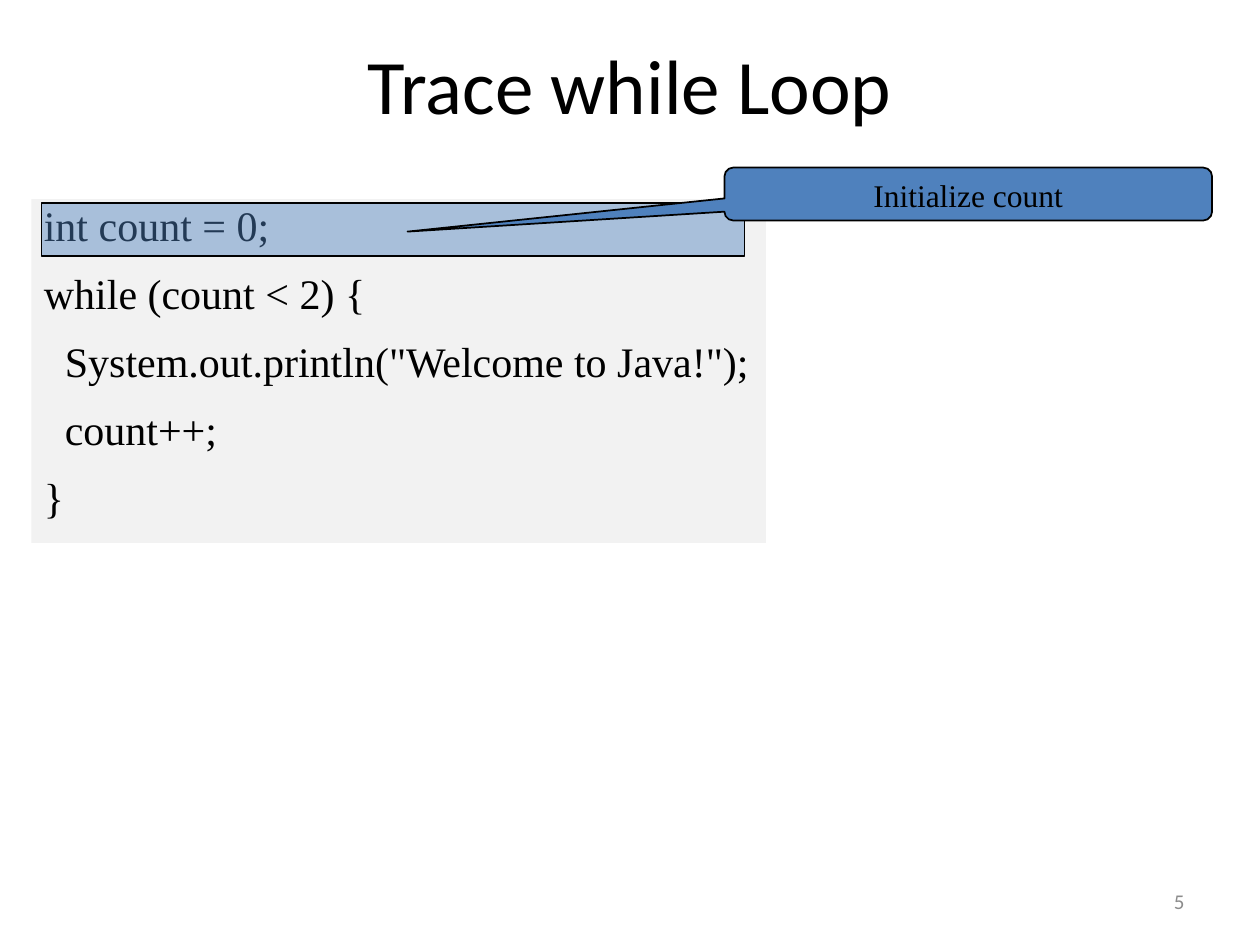
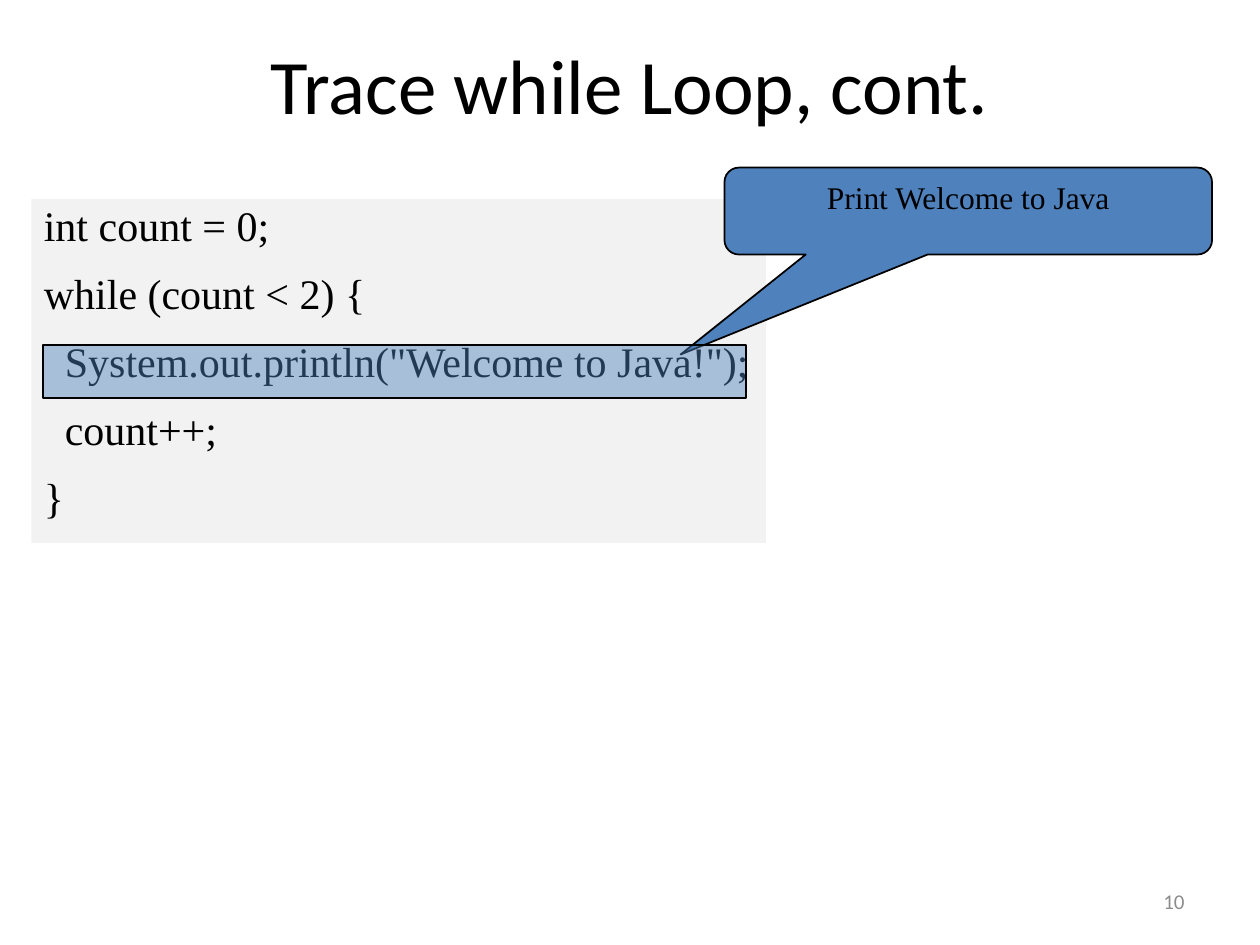
"""Build two slides that trace a while loop line by line."""
from dataclasses import dataclass

from lxml.etree import SubElement
from pptx import Presentation
from pptx.dml.color import RGBColor as RGB
from pptx.enum.shapes import MSO_SHAPE as SHAPE
from pptx.enum.text import MSO_ANCHOR as ANCHOR, PP_ALIGN as ALIGN
from pptx.oxml.ns import qn
from pptx.util import Pt

PX = 9144


@dataclass(frozen=True)
class Theme:
    black: str = "000000"
    panel: str = "F2F2F2"
    accent: str = "4F81BD"
    muted: str = "8C8C8C"
    head_font: str = "Calibri"
    code_font: str = "Times New Roman"
    title_size: int = 44
    code_size: int = 24
    note_size: int = 18
    number_size: int = 12


T = Theme()

CODE = (
    "int count = 0;",
    "while (count < 2) {",
    '  System.out.println("Welcome to Java!");',
    "  count++;",
    "}",
)


def emu(*lengths):
    return [n * PX for n in lengths]


def write(sp, *lines, size, font, color=T.black, align=ALIGN.LEFT,
          anchor=ANCHOR.TOP, line_spacing=None, gap=0):
    tf = sp.text_frame
    tf.word_wrap = True
    tf.vertical_anchor = anchor
    for i, line in enumerate(lines):
        p = tf.add_paragraph() if i else tf.paragraphs[0]
        p.alignment = align
        p.line_spacing = line_spacing
        p.space_before = Pt(gap if i else 0)
        r = p.add_run()
        r.text = line
        r.font.size = Pt(size)
        r.font.name = font
        r.font.color.rgb = RGB.from_string(color)


def add_text(s, box, text, **fmt):
    sp = s.shapes.add_textbox(*emu(*box))
    write(sp, text, font=T.head_font, anchor=ANCHOR.MIDDLE, **fmt)


def add_box(s, kind, box, fill, outlined=True):
    sp = s.shapes.add_shape(kind, *emu(*box))
    sp.shadow.inherit = False
    sp.fill.solid()
    sp.fill.fore_color.rgb = RGB.from_string(fill)
    if outlined:
        sp.line.color.rgb = RGB.from_string(T.black)
        sp.line.width = Pt(1)
    else:
        sp.line.fill.background()
    return sp


def add_code(s):
    sp = add_box(s, SHAPE.RECTANGLE, (25, 158, 583, 273), T.panel, outlined=False)
    write(sp, *CODE, size=T.code_size, font=T.code_font, line_spacing=0.9, gap=13)


def add_highlight(s, left, top):
    sp = add_box(s, SHAPE.RECTANGLE, (left, top, 558, 42), T.accent)
    color = sp.fill._xPr.find(qn("a:solidFill"))[0]
    SubElement(color, qn("a:alpha"), val="45000")


def add_callout(s, text, height, tip):
    sp = add_box(s, SHAPE.ROUNDED_RECTANGULAR_CALLOUT, (575, 133, 387, height), T.accent)
    sp.adjustments[0], sp.adjustments[1] = tip
    write(sp, text, size=T.note_size, font=T.code_font, align=ALIGN.CENTER)


def add_slide(prs, title, number):
    s = prs.slides.add_slide(prs.slide_layouts[6])
    add_text(s, (75, 25, 850, 83), title, size=T.title_size, align=ALIGN.CENTER)
    add_text(s, (717, 695, 233, 40), number, size=T.number_size,
             color=T.muted, align=ALIGN.RIGHT)
    add_code(s)
    return s


def main():
    prs = Presentation()
    prs.slide_width, prs.slide_height = emu(1000, 750)

    s = add_slide(prs, "Trace while Loop", "5")
    add_highlight(s, 33, 161)
    add_callout(s, "Initialize count", 42, (-1.15, 0.71))

    s = add_slide(prs, "Trace while Loop, cont.", "10")
    add_callout(s, "Print Welcome to Java", 69, (-0.59, 1.65))
    add_highlight(s, 34, 274)

    prs.save("out.pptx")


if __name__ == "__main__":
    main()
